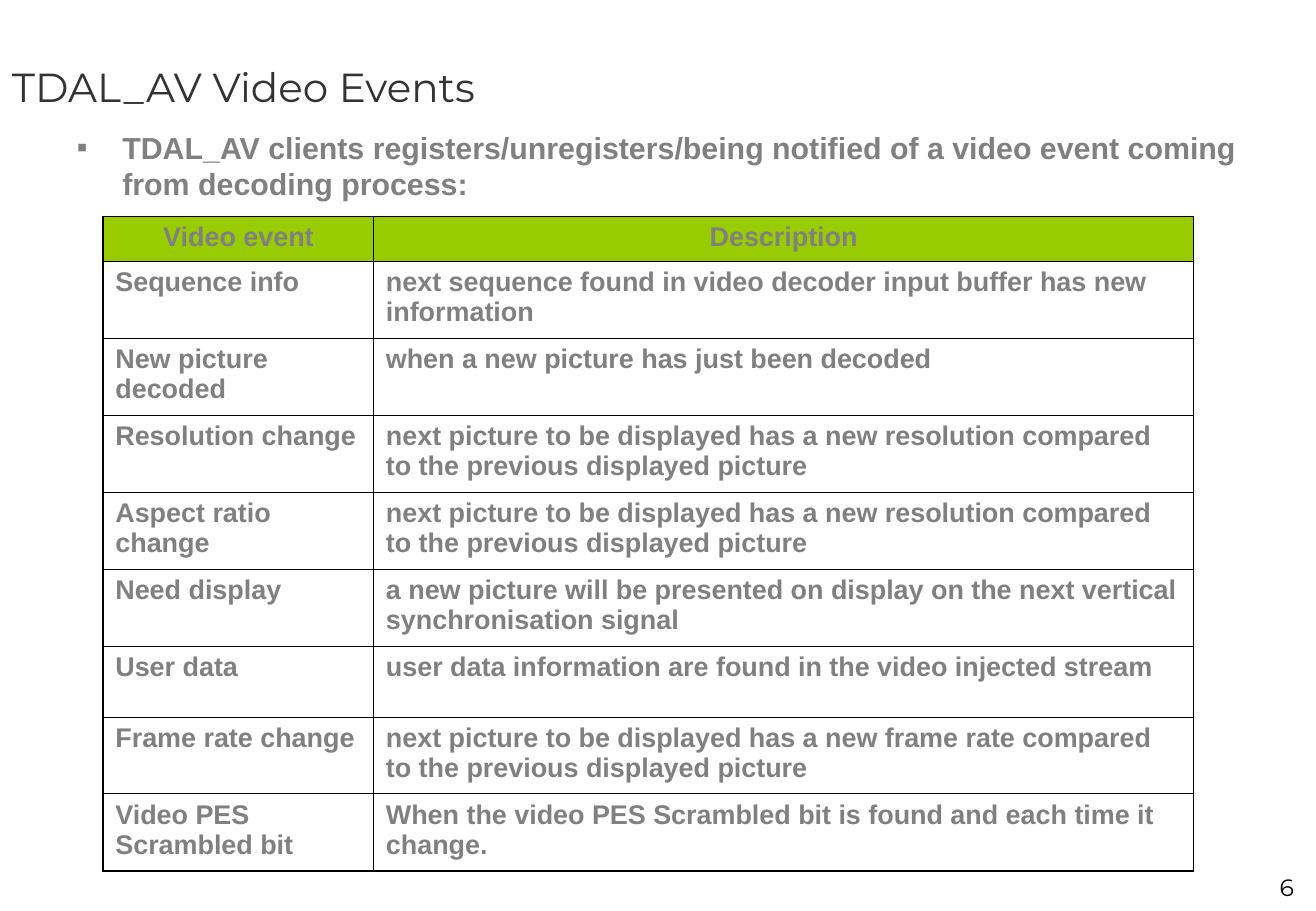
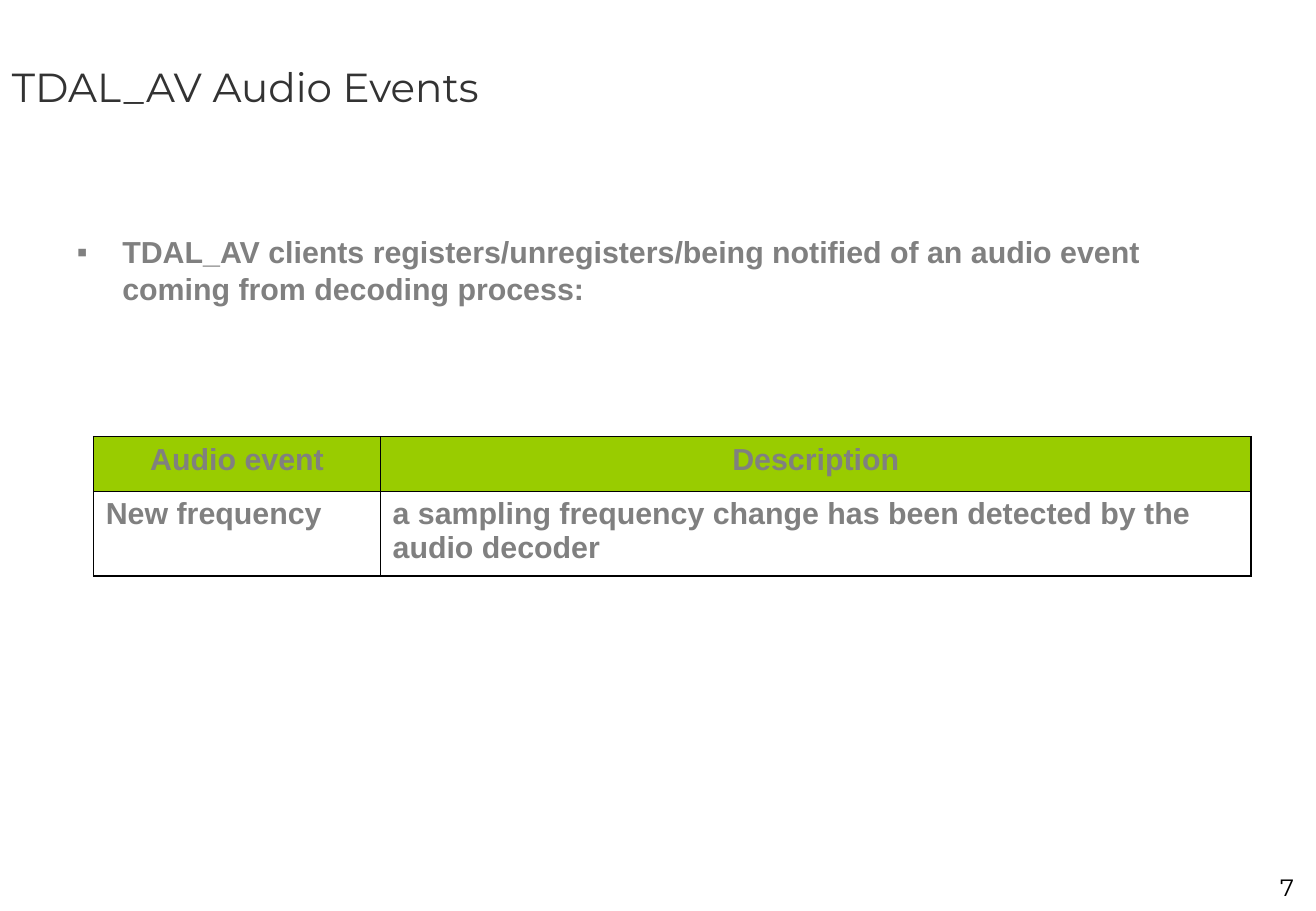
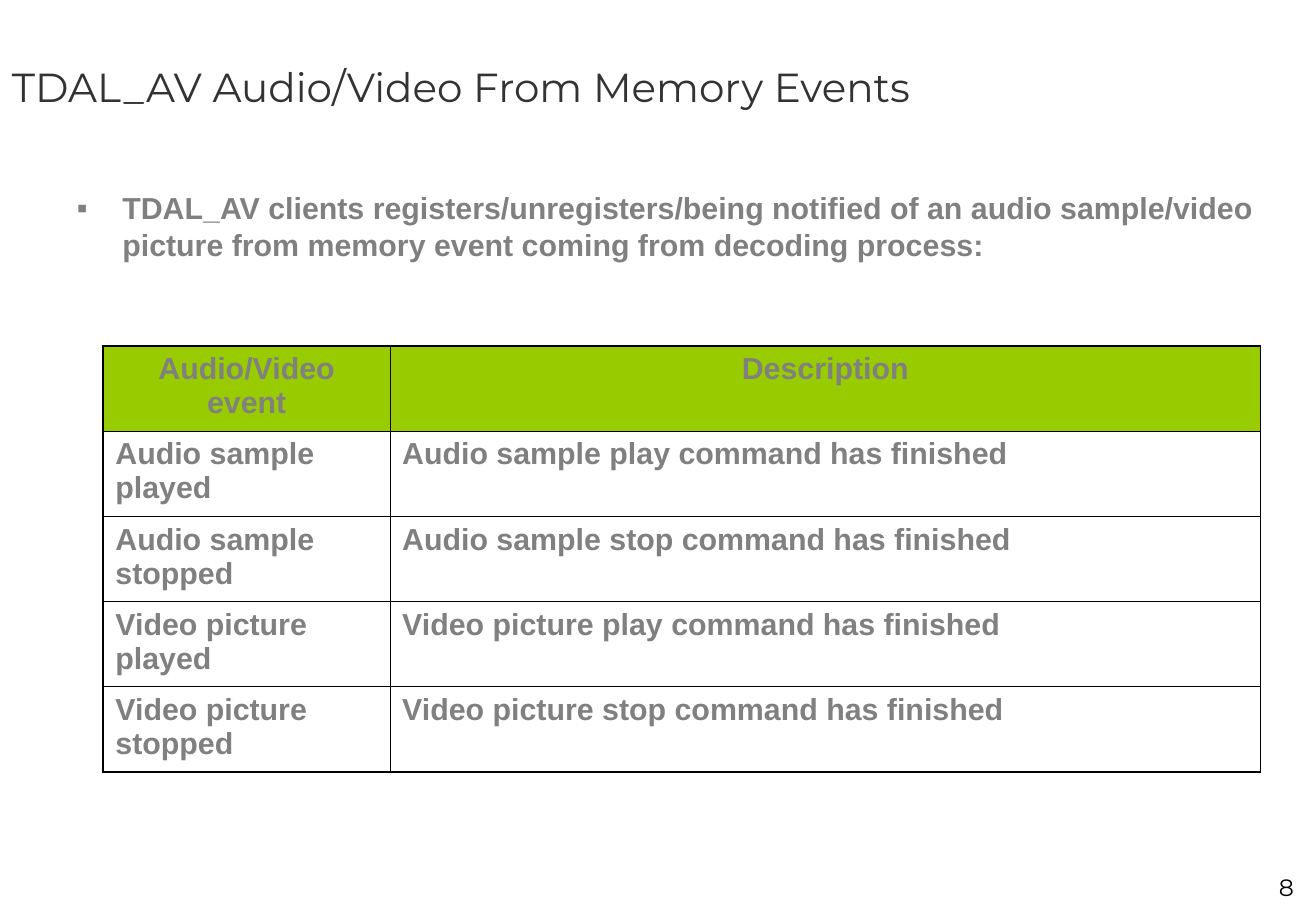
"""Build three slides that list the TDAL_AV video, audio and memory events."""
from lxml import etree
from pptx import Presentation
from pptx import util as u
from pptx.dml.color import RGBColor
from pptx.enum import text
from pptx.oxml import ns

INK = RGBColor(0x33, 0x33, 0x33)
GREY = RGBColor(0x80, 0x80, 0x80)
GREEN = RGBColor(0x99, 0xCC, 0x00)
BLACK = RGBColor(0, 0, 0)
TITLE_FONT = "Montserrat"
BODY_FONT = "Arial"
OUTER, INNER = 1.08, 0.45
LEFT, CENTER, RIGHT = text.PP_ALIGN.LEFT, text.PP_ALIGN.CENTER, text.PP_ALIGN.RIGHT

VIDEO_EVENTS = [
    ("Video event", "Description"),
    ("Sequence info", "next sequence found in video decoder input buffer has new information"),
    ("New picture decoded", "when a new picture has just been decoded"),
    ("Resolution change", "next picture to be displayed has a new resolution compared to the previous displayed picture"),
    ("Aspect ratio change", "next picture to be displayed has a new resolution compared to the previous displayed picture"),
    ("Need display", "a new picture will be presented on display on the next vertical synchronisation signal"),
    ("User data", "user data information are found in the video injected stream"),
    ("Frame rate change", "next picture to be displayed has a new frame rate compared to the previous displayed picture"),
    ("Video PES Scrambled bit", "When the video PES Scrambled bit is found and each time it change."),
]
AUDIO_EVENTS = [
    ("Audio event", "Description"),
    ("New frequency", "a sampling frequency change has been detected by the audio decoder"),
]
MEMORY_EVENTS = [("Audio/Video event", "Description")] + [
    (f"{medium} {state}", f"{medium} {command} command has finished")
    for medium in ("Audio sample", "Video picture")
    for command, state in (("play", "played"), ("stop", "stopped"))
]


def write(frame, content, size=18, font=BODY_FONT, color=GREY, bold=False,
          align=LEFT, before=0):
    """Write one formatted paragraph into a text frame and return it."""
    frame.word_wrap = True
    paragraph = frame.paragraphs[0]
    paragraph.alignment = align
    paragraph.space_before = u.Pt(before)
    run = paragraph.add_run()
    run.text = content
    run.font.size = u.Pt(size)
    run.font.name = font
    run.font.bold = bold
    run.font.color.rgb = color
    return paragraph


def add_element(parent, tag, **attributes):
    """Append a DrawingML element with the given attributes."""
    return etree.SubElement(parent, ns.qn(tag), **attributes)


class Deck:
    """Hold the shared style and the current slide."""

    def __init__(self):
        """Start an empty presentation."""
        self.presentation = Presentation()
        self.presentation.slide_width = u.Cm(27.53)
        self.presentation.slide_height = u.Cm(19.05)
        self.slide = None

    def box(self, left, top, width, height):
        """Add a text box and return its text frame."""
        shape = self.slide.shapes.add_textbox(u.Cm(left), u.Cm(top), u.Cm(width), u.Cm(height))
        return shape.text_frame

    def start(self, title, number):
        """Add a slide with its title and page number."""
        self.slide = self.presentation.slides.add_slide(self.presentation.slide_layouts[6])
        frame = self.box(0, 0, 27.51, 3.61)
        frame.vertical_anchor = text.MSO_ANCHOR.MIDDLE
        write(frame, title, size=24, font=TITLE_FONT, color=INK)
        write(self.box(24.37, 18.12, 2.95, 0.84), str(number), size=14,
              font=TITLE_FONT, color=BLACK, align=RIGHT)

    def bullet(self, content, top):
        """Add the two-line bulleted introduction."""
        paragraph = write(self.box(1.36, top, 25.17, 1.75), content, bold=True, before=4.5)
        properties = paragraph._p.get_or_add_pPr()
        indent = u.Cm(0.95)
        properties.set("marL", str(indent))
        properties.set("indent", str(-indent))
        color = add_element(properties, "a:buClr")
        add_element(color, "a:srgbClr", val=str(GREY))
        add_element(properties, "a:buFont", typeface=BODY_FONT)
        add_element(properties, "a:buChar", char="▪")

    def border(self, cell, **widths):
        """Draw the cell sides (L, R, T, B) with widths in points."""
        properties = cell._tc.get_or_add_tcPr()
        for side, width in widths.items():
            line = add_element(properties, f"a:ln{side}", w=str(u.Pt(width)))
            fill = add_element(line, "a:solidFill")
            add_element(fill, "a:srgbClr", val=str(BLACK))

    def table(self, rows, left, top, columns, heights, size):
        """Add an event table with a green header and a heavier outer frame."""
        shape = self.slide.shapes.add_table(
            len(rows), len(columns), u.Cm(left), u.Cm(top),
            u.Cm(sum(columns)), u.Cm(sum(heights)))
        table = shape.table
        table.first_row = table.horz_banding = False
        for column, width in zip(table.columns, columns):
            column.width = u.Cm(width)
        last_row, last_column = len(rows) - 1, len(columns) - 1
        for i, (values, height) in enumerate(zip(rows, heights)):
            table.rows[i].height = u.Cm(height)
            for j, value in enumerate(values):
                cell = table.cell(i, j)
                self.border(cell,
                            L=OUTER if j == 0 else INNER,
                            R=OUTER if j == last_column else INNER,
                            T=OUTER if i == 0 else INNER,
                            B=OUTER if i == last_row else INNER)
                if i == 0:
                    cell.fill.solid()
                    cell.fill.fore_color.rgb = GREEN
                else:
                    cell.fill.background()
                write(cell.text_frame, value, size=size, bold=True, before=size / 4,
                      align=LEFT if i else CENTER)


def main():
    """Build and save the presentation."""
    deck = Deck()
    intro = "TDAL_AV clients registers/unregisters/being notified of {} event coming from decoding process:"
    wide_columns = (6, 18.21)

    deck.start("TDAL_AV Video Events", 6)
    deck.bullet(intro.format("a video"), top=2.57)
    deck.table(VIDEO_EVENTS, 2.16, 4.53, (5.66, 17.15),
               [0.94] + [1.61] * 5 + [1.47] + [1.61] * 2, size=16)

    deck.start("TDAL_AV Audio Events", 7)
    deck.bullet(intro.format("an audio"), top=4.76)
    deck.table(AUDIO_EVENTS, 1.96, 9.13, wide_columns, [1.14, 1.78], size=18)

    deck.start("TDAL_AV Audio/Video From Memory Events", 8)
    deck.bullet(intro.format("an audio sample/video picture from memory"), top=3.84)
    deck.table(MEMORY_EVENTS, 2.16, 7.24, wide_columns, [1.78] * 5, size=18)

    deck.presentation.save("out.pptx")


if __name__ == "__main__":
    main()
